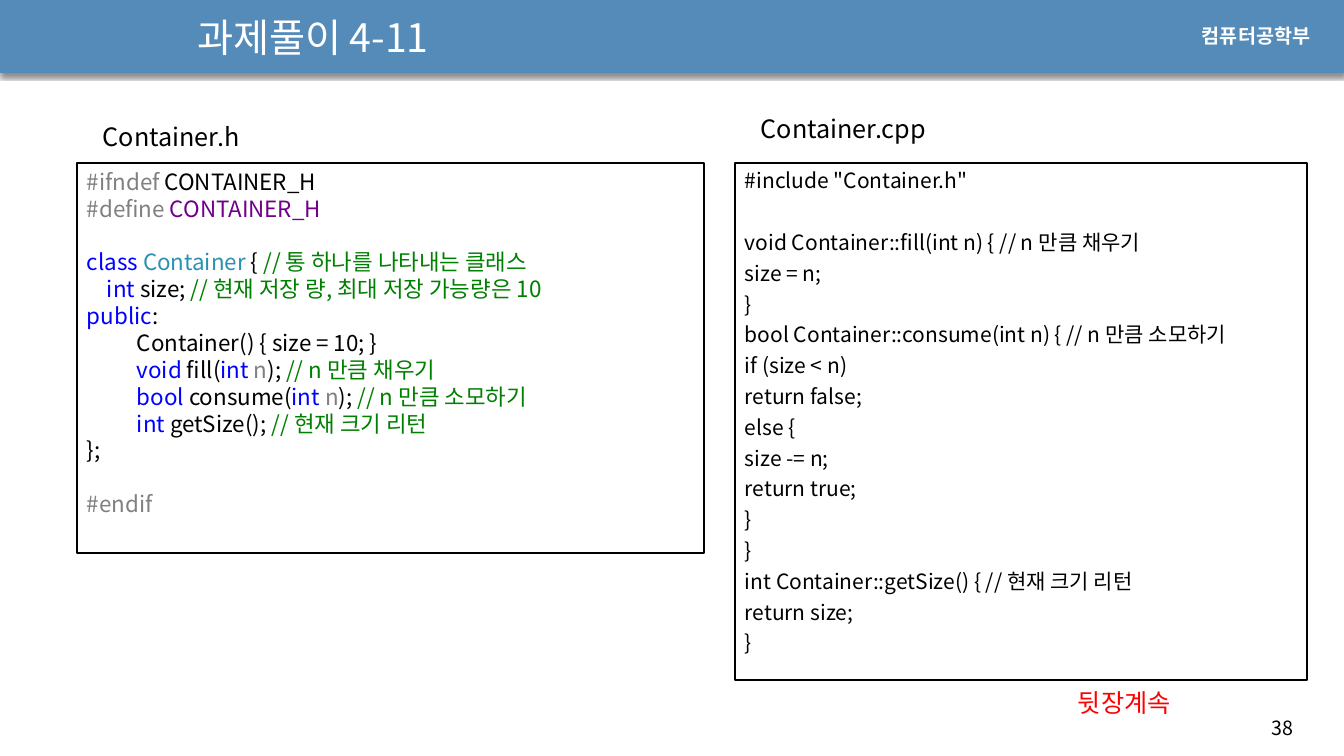
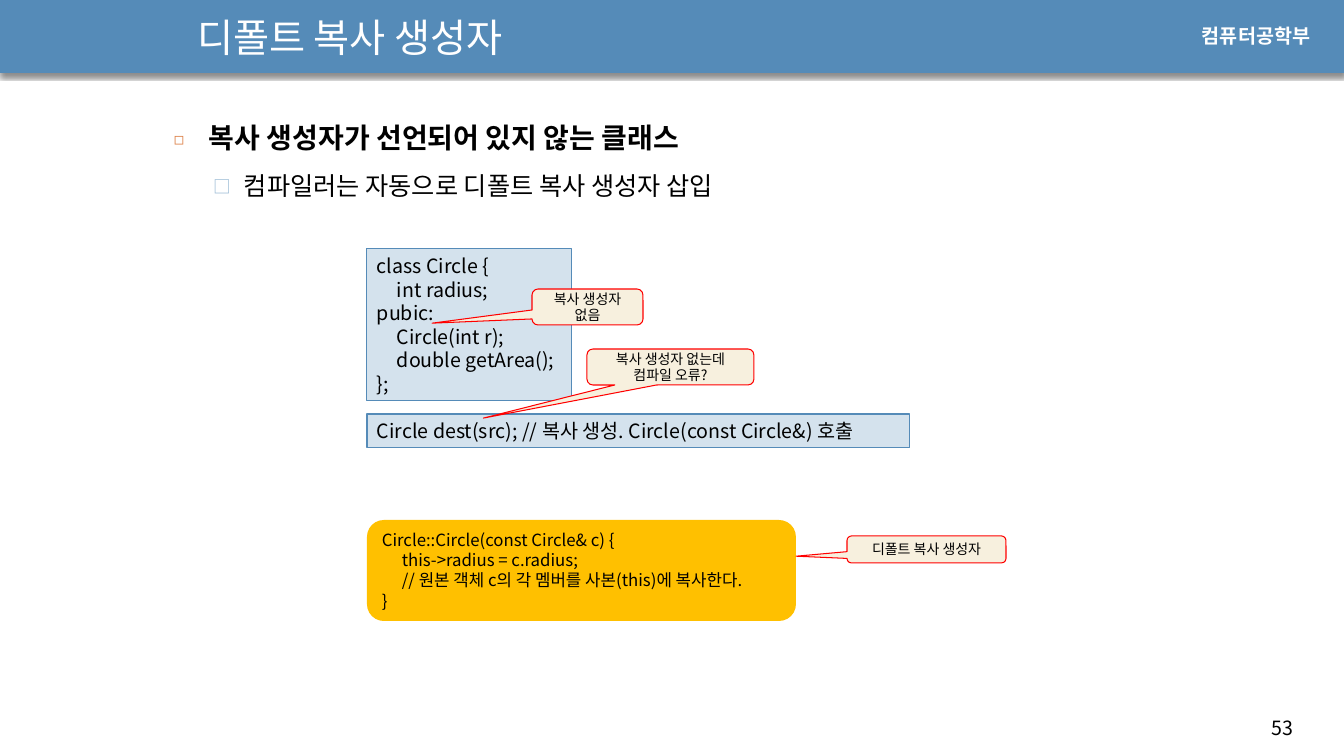
from dataclasses import dataclass
from typing import NamedTuple, Optional, Sequence

from lxml.etree import SubElement
from pptx import Presentation
from pptx.dml.color import RGBColor
from pptx.enum.shapes import MSO_SHAPE
from pptx.enum.text import MSO_ANCHOR, PP_ALIGN
from pptx.oxml.ns import qn
from pptx.util import Emu, Pt

SLIDE_WIDTH, SLIDE_HEIGHT = 1344, 756
EMU_PER_PX = 12192000 / SLIDE_WIDTH
CODE_INDENT = 20


@dataclass(frozen=True)
class Theme:
    font: str = "Noto Sans CJK KR"
    school_font: str = "Arial"
    line_pitch: float = 1.2

    band: str = "558BB8"
    white: str = "FFFFFF"
    black: str = "000000"
    red: str = "FF0000"
    code_fill: str = "D4E2ED"
    callout_fill: str = "F7F0DE"
    highlight: str = "FFC000"
    bullet_main: str = "DD8047"
    bullet_sub: str = "94B6D2"

    keyword: str = "0000FF"
    comment: str = "008000"
    class_name: str = "2B91AF"
    macro: str = "6F008A"
    muted: str = "808080"

    title_size: int = 28
    topic_size: int = 20
    label_size: int = 18
    header_size: int = 16
    source_size: int = 15
    small_size: int = 14
    body_code_size: int = 12
    callout_size: int = 10


THEME = Theme()


class Box(NamedTuple):
    left: int
    top: int
    width: int
    height: int


class Span(NamedTuple):
    text: str
    color: str = THEME.black


class Bullet(NamedTuple):
    mark: str
    color: str
    percent: int
    hanging: int


@dataclass(frozen=True)
class Line:
    spans: Sequence[Span]
    level: int = 0
    indent: int = 0
    before: float = 0
    gap_lines: int = 0
    size: Optional[int] = None
    bold: bool = False
    bullet: Optional[Bullet] = None


@dataclass(frozen=True)
class Callout:
    box: Box
    tip: tuple[float, float]
    lines: Sequence[str]


def px(length: float) -> Emu:
    return Emu(round(length * EMU_PER_PX))


def place(shape, box: Box) -> None:
    shape.left, shape.top, shape.width, shape.height = map(px, box)


def add_bullet(properties, bullet: Bullet) -> None:
    color = SubElement(properties, qn("a:buClr"))
    SubElement(color, qn("a:srgbClr"), val=bullet.color)
    SubElement(properties, qn("a:buSzPct"), val=str(bullet.percent * 1000))
    SubElement(properties, qn("a:buFont"), typeface=THEME.font)
    SubElement(properties, qn("a:buChar"), char=bullet.mark)


def write(shape, content: str | Sequence[Line], *, size: int, color: str = THEME.black,
          font: str = THEME.font, bold: bool = False, align=PP_ALIGN.LEFT,
          anchor=MSO_ANCHOR.TOP, after: float = 0) -> None:
    """Fill a shape with plain text, one paragraph a line, or with formatted lines."""
    if isinstance(content, str):
        content = [Line([Span(text, color)]) for text in content.split("\n")]
    frame = shape.text_frame
    frame.word_wrap = True
    frame.vertical_anchor = anchor
    for index, line in enumerate(content):
        paragraph = frame.paragraphs[0] if index == 0 else frame.add_paragraph()
        properties = paragraph._p.get_or_add_pPr()
        hanging = line.bullet.hanging if line.bullet else 0
        properties.set("marL", str(px(line.indent)))
        properties.set("indent", str(-px(hanging)))
        if line.bullet:
            add_bullet(properties, line.bullet)
        line_size = line.size or size
        pitch = line_size * THEME.line_pitch
        paragraph.level = line.level
        paragraph.alignment = align
        paragraph.line_spacing = Pt(pitch)
        paragraph.space_before = Pt(line.before + line.gap_lines * (pitch + after))
        paragraph.space_after = Pt(after)
        for span in line.spans:
            run = paragraph.add_run()
            run.text = span.text
            run.font.name = font
            run.font.size = Pt(line_size)
            run.font.bold = bold or line.bold
            run.font.color.rgb = RGBColor.from_string(span.color)
            SubElement(run.font._element, qn("a:ea"), typeface=THEME.font)


def add_text(slide, box: Box, content: str | Sequence[Line], **text_format):
    label = slide.shapes.add_textbox(*map(px, box))
    write(label, content, **text_format)
    return label


def add_panel(slide, box: Box, fill: str, *, outline: Optional[str] = None,
              outline_width: float = 0.75, kind=MSO_SHAPE.RECTANGLE):
    panel = slide.shapes.add_shape(kind, *map(px, box))
    panel.shadow.inherit = False
    panel.fill.solid()
    panel.fill.fore_color.rgb = RGBColor.from_string(fill)
    if outline:
        panel.line.color.rgb = RGBColor.from_string(outline)
        panel.line.width = Pt(outline_width)
    else:
        panel.line.fill.background()
    return panel


def add_callout(slide, callout: Callout) -> None:
    bubble = add_panel(slide, callout.box, THEME.callout_fill, outline=THEME.red,
                       kind=MSO_SHAPE.ROUNDED_RECTANGULAR_CALLOUT)
    bubble.adjustments[0], bubble.adjustments[1] = callout.tip
    write(bubble, "\n".join(callout.lines), size=THEME.callout_size,
          align=PP_ALIGN.CENTER, anchor=MSO_ANCHOR.MIDDLE)


def add_header(slide) -> None:
    """Draw the band and school name, then hand them to the slide's layout."""
    band = add_panel(slide, Box(0, 0, SLIDE_WIDTH, 73), THEME.band)
    effects = band._element.spPr.find(qn("a:effectLst"))
    shadow = SubElement(effects, qn("a:outerShdw"), blurRad=str(Pt(3)),
                        dist=str(Pt(2.4)), dir="5400000", rotWithShape="0")
    shade = SubElement(shadow, qn("a:srgbClr"), val=THEME.black)
    SubElement(shade, qn("a:alpha"), val="45000")
    school = add_text(slide, Box(1192, 19, 138, 34), "컴퓨터공학부",
                      size=THEME.small_size, color=THEME.white,
                      font=THEME.school_font, bold=True)
    layout_tree = slide.slide_layout.shapes.element
    for part in (band, school):
        layout_tree.append(part._element)


def add_slide(deck, title: str, number: int):
    slide = deck.slides.add_slide(deck.slide_layouts[5])
    place(slide.shapes.title, Box(187, 5, 746, 64))
    write(slide.shapes.title, title, size=THEME.title_size, color=THEME.white,
          anchor=MSO_ANCHOR.MIDDLE)
    add_text(slide, Box(1262, 711, 72, 34), str(number), size=THEME.small_size)
    return slide


def keyword(text: str) -> Span:
    return Span(text, THEME.keyword)


def comment(text: str) -> Span:
    return Span(text, THEME.comment)


def muted(text: str) -> Span:
    return Span(text, THEME.muted)


def member(*spans: Span) -> Line:
    return Line(spans, level=1, indent=50)


def method(result: str, name: str, note: str) -> Line:
    """A member function that takes int n."""
    return member(keyword(result), Span(f" {name}("), keyword("int "), muted("n"),
                  Span("); "), comment(note))


def indented_code(code: str) -> list[Line]:
    """Turn the leading tabs of each code line into a paragraph indent."""
    return [Line([Span(text.lstrip("\t"))], indent=CODE_INDENT * text.count("\t"))
            for text in code.split("\n")]


HEADER_CODE = [
    Line([muted("#ifndef"), Span(" CONTAINER_H")]),
    Line([muted("#define "), Span("CONTAINER_H", THEME.macro)]),
    Line([keyword("class "), Span("Container ", THEME.class_name), Span("{ "),
          comment("// 통 하나를 나타내는 클래스")], gap_lines=1),
    Line([keyword("    int "), Span("size; "),
          comment("// 현재 저장 량, 최대 저장 가능량은 10")]),
    Line([keyword("public"), Span(":")]),
    member(Span("Container() { size = 10; }")),
    method("void", "fill", "// n 만큼 채우기"),
    method("bool", "consume", "// n 만큼 소모하기"),
    member(keyword("int "), Span("getSize(); "), comment("// 현재 크기 리턴")),
    Line([Span("};")]),
    Line([muted("#endif")], gap_lines=1),
]

SOURCE_BODY = """void Container::fill(int n) { // n 만큼 채우기
size = n;
}
bool Container::consume(int n) { // n 만큼 소모하기
if (size < n)
return false;
else {
size -= n;
return true;
}
}
int Container::getSize() { // 현재 크기 리턴
return size;
}"""
SOURCE_CODE = [Line([Span('#include "Container.h"')])] + [
    Line([Span(text)], gap_lines=int(index == 0))
    for index, text in enumerate(SOURCE_BODY.split("\n"))
]

TOPICS = [
    Line([Span("복사 생성자가 선언되어 있지 않는 클래스")], indent=35, bold=True,
         bullet=Bullet("◻", THEME.bullet_main, 60, 35)),
    Line([Span("컴파일러는 자동으로 디폴트 복사 생성자 삽입")], level=1, indent=70,
         before=5.5, size=THEME.label_size,
         bullet=Bullet("□", THEME.bullet_sub, 70, 30)),
]

CIRCLE_CLASS = """class Circle {
\tint radius;
pubic:
\tCircle(int r);
\tdouble getArea();
};"""
COPY_CALL = "Circle dest(src); // 복사 생성. Circle(const Circle&) 호출"
COPY_CONSTRUCTOR = """Circle::Circle(const Circle& c) {
\tthis->radius = c.radius;
\t// 원본 객체 c의 각 멤버를 사본(this)에 복사한다.
}"""

CALLOUTS = [
    Callout(Box(532, 289, 111, 36), (-1.4, 0.45), ["복사 생성자 없음"]),
    Callout(Box(587, 349, 167, 36), (-1.12, 1.42), ["복사 생성자 없는데", "컴파일 오류?"]),
    Callout(Box(847, 536, 159, 27), (-0.82, 0.25), ["디폴트 복사 생성자"]),
]


def build_container_slide(deck) -> None:
    slide = add_slide(deck, "과제풀이 4-11", 38)
    add_header(slide)
    frame = {"outline": THEME.black, "outline_width": 1.5}
    source = add_panel(slide, Box(735, 163, 572, 517), THEME.white, **frame)
    write(source, SOURCE_CODE, size=THEME.source_size, after=4)
    header = add_panel(slide, Box(77, 163, 627, 390), THEME.white, **frame)
    write(header, HEADER_CODE, size=THEME.header_size)
    add_text(slide, Box(751, 108, 246, 40), "Container.cpp", size=THEME.label_size)
    add_text(slide, Box(93, 116, 190, 40), "Container.h", size=THEME.label_size)
    add_text(slide, Box(1068, 682, 158, 40), "뒷장계속", size=THEME.label_size,
             color=THEME.red)


def build_copy_constructor_slide(deck) -> None:
    slide = add_slide(deck, "디폴트 복사 생성자", 53)
    add_text(slide, Box(164, 116, 1119, 555), TOPICS, size=THEME.topic_size, after=6)
    for box, code in ((Box(367, 249, 205, 152), CIRCLE_CLASS),
                      (Box(367, 414, 543, 34), COPY_CALL)):
        panel = add_panel(slide, box, THEME.code_fill, outline=THEME.band)
        write(panel, indented_code(code), size=THEME.small_size)
    constructor = add_panel(slide, Box(367, 520, 429, 101), THEME.highlight,
                            kind=MSO_SHAPE.ROUNDED_RECTANGLE)
    write(constructor, indented_code(COPY_CONSTRUCTOR), size=THEME.body_code_size)
    for callout in CALLOUTS:
        add_callout(slide, callout)


def main() -> None:
    deck = Presentation()
    deck.slide_width, deck.slide_height = px(SLIDE_WIDTH), px(SLIDE_HEIGHT)
    build_container_slide(deck)
    build_copy_constructor_slide(deck)
    deck.save("out.pptx")


if __name__ == "__main__":
    main()
